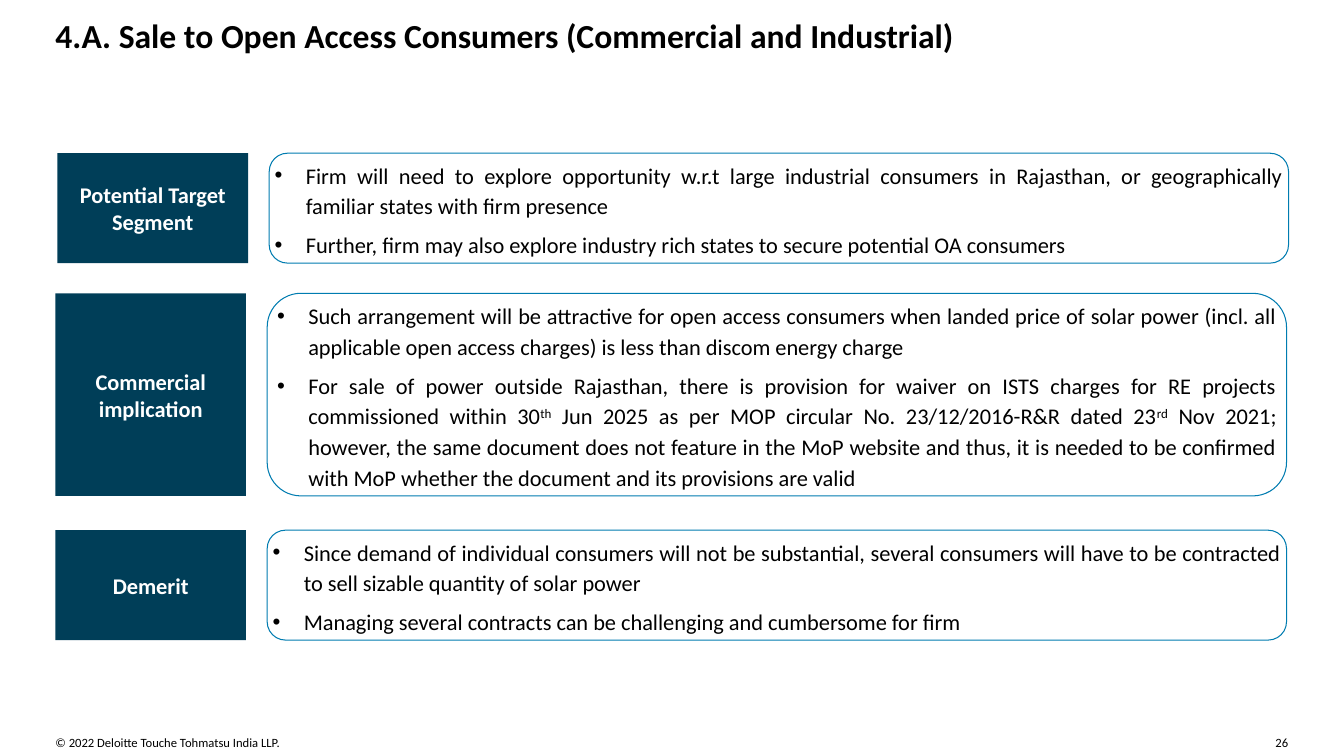
import pptx
import pptx.dml.color
import pptx.enum.shapes
import pptx.enum.text
import pptx.oxml
import pptx.oxml.ns
import pptx.util
from pptx.util import Inches

FONT = "Calibri"
BLACK = pptx.dml.color.RGBColor(0x00, 0x00, 0x00)
WHITE = pptx.dml.color.RGBColor(0xFF, 0xFF, 0xFF)
NAVY = pptx.dml.color.RGBColor(0x00, 0x3E, 0x58)
BLUE = pptx.dml.color.RGBColor(0x00, 0x7C, 0xB0)

ALIGN = pptx.enum.text.PP_ALIGN
ANCHOR = pptx.enum.text.MSO_ANCHOR
SHAPE = pptx.enum.shapes.MSO_SHAPE

LABEL_WIDTH = 1.89
POINTS_OFFSET = 2.1
POINTS_WIDTH = 10.11
BULLET_INDENT = Inches(0.31)

# left, top, height, label, points; ^ encloses superscript text
SECTIONS = [
    (0.57, 1.52, 1.09, "Potential Target Segment", [
        "Firm will need to explore opportunity w.r.t large industrial consumers in "
        "Rajasthan, or geographically familiar states with firm presence",
        "Further, firm may also explore industry rich states to secure potential OA consumers",
    ]),
    (0.55, 2.91, 2.01, "Commercial implication", [
        "Such arrangement will be attractive for open access consumers when landed price of "
        "solar power (incl. all applicable open access charges) is less than discom energy charge",
        "For sale of power outside Rajasthan, there is provision for waiver on ISTS charges for "
        "RE projects commissioned within 30^th^ Jun 2025 as per MOP circular No. "
        "23/12/2016-R&R dated 23^rd^ Nov 2021; however, the same document does not feature in "
        "the MoP website and thus, it is needed to be confirmed with MoP whether the document "
        "and its provisions are valid",
    ]),
    (0.55, 5.26, 1.09, "Demerit", [
        "Since demand of individual consumers will not be substantial, several consumers will "
        "have to be contracted to sell sizable quantity of solar power",
        "Managing several contracts can be challenging and cumbersome for firm",
    ]),
]


def set_font(paragraph, size, color=BLACK, bold=False):
    font = paragraph.font
    font.name = FONT
    font.size = pptx.util.Pt(size)
    font.bold = bold
    font.color.rgb = color


def prepare_frame(shape, anchor, wrap=True):
    """Clear the margins of a shape's text frame and return the frame."""
    frame = shape.text_frame
    frame.margin_left = frame.margin_right = frame.margin_top = frame.margin_bottom = 0
    frame.auto_size = pptx.enum.text.MSO_AUTO_SIZE.NONE
    frame.word_wrap = wrap
    frame.vertical_anchor = anchor
    return frame


def set_title(slide, text):
    title = slide.shapes.title
    title.left, title.top = Inches(0.55), Inches(0.15)
    title.width, title.height = Inches(12.24), Inches(0.37)
    paragraph = prepare_frame(title, ANCHOR.TOP).paragraphs[0]
    paragraph.text = text
    paragraph.alignment = ALIGN.LEFT
    set_font(paragraph, 24, bold=True)


def add_footer_text(slide, left, width, text, wrap):
    box = slide.shapes.add_textbox(Inches(left), Inches(7.29), Inches(width), Inches(0.15))
    paragraph = prepare_frame(box, ANCHOR.TOP, wrap).paragraphs[0]
    paragraph.text = text
    set_font(paragraph, 9)


def add_label(slide, left, top, height, text):
    label = slide.shapes.add_shape(
        SHAPE.RECTANGLE, Inches(left), Inches(top), Inches(LABEL_WIDTH), Inches(height))
    label.shadow.inherit = False
    label.fill.solid()
    label.fill.fore_color.rgb = NAVY
    label.line.fill.background()
    paragraph = prepare_frame(label, ANCHOR.MIDDLE).paragraphs[0]
    paragraph.text = text
    paragraph.alignment = ALIGN.CENTER
    set_font(paragraph, 16, WHITE, bold=True)


def add_bullet(paragraph):
    properties = paragraph._p.get_or_add_pPr()
    properties.set("marL", str(BULLET_INDENT))
    properties.set("indent", str(-BULLET_INDENT))
    namespace = pptx.oxml.ns.nsdecls("a")
    properties.append(pptx.oxml.parse_xml(f'<a:buFont {namespace} typeface="Arial"/>'))
    properties.append(pptx.oxml.parse_xml(f'<a:buChar {namespace} char="•"/>'))


def fill_point(paragraph, text):
    paragraph.alignment = ALIGN.JUSTIFY
    paragraph.line_spacing = 1.14
    paragraph.space_after = pptx.util.Pt(6)
    add_bullet(paragraph)
    set_font(paragraph, 16)
    for index, part in enumerate(text.split("^")):
        run = paragraph.add_run()
        run.text = part
        if index % 2:
            run._r.get_or_add_rPr().set("baseline", "30000")


def add_points(slide, left, top, height, points):
    box = slide.shapes.add_shape(
        SHAPE.ROUNDED_RECTANGLE, Inches(left), Inches(top), Inches(POINTS_WIDTH), Inches(height))
    box.shadow.inherit = False
    box.fill.background()
    box.line.color.rgb = BLUE
    box.line.width = pptx.util.Pt(0.75)
    frame = prepare_frame(box, ANCHOR.MIDDLE)
    for index, text in enumerate(points):
        paragraph = frame.add_paragraph() if index else frame.paragraphs[0]
        fill_point(paragraph, text)


def main():
    presentation = pptx.Presentation()
    presentation.slide_width, presentation.slide_height = Inches(13.33), Inches(7.5)
    slide = presentation.slides.add_slide(presentation.slide_layouts.get_by_name("Title Only"))
    set_title(slide, "4.A. Sale to Open Access Consumers (Commercial and Industrial)")
    for left, top, height, label, points in SECTIONS:
        add_label(slide, left, top, height, label)
        add_points(slide, left + POINTS_OFFSET, top, height, points)
    add_footer_text(slide, 0.55, 5.86, "© 2022 Deloitte Touche Tohmatsu India LLP.", wrap=True)
    add_footer_text(slide, 12.65, 0.15, "26", wrap=False)
    presentation.save("out.pptx")


if __name__ == "__main__":
    main()
